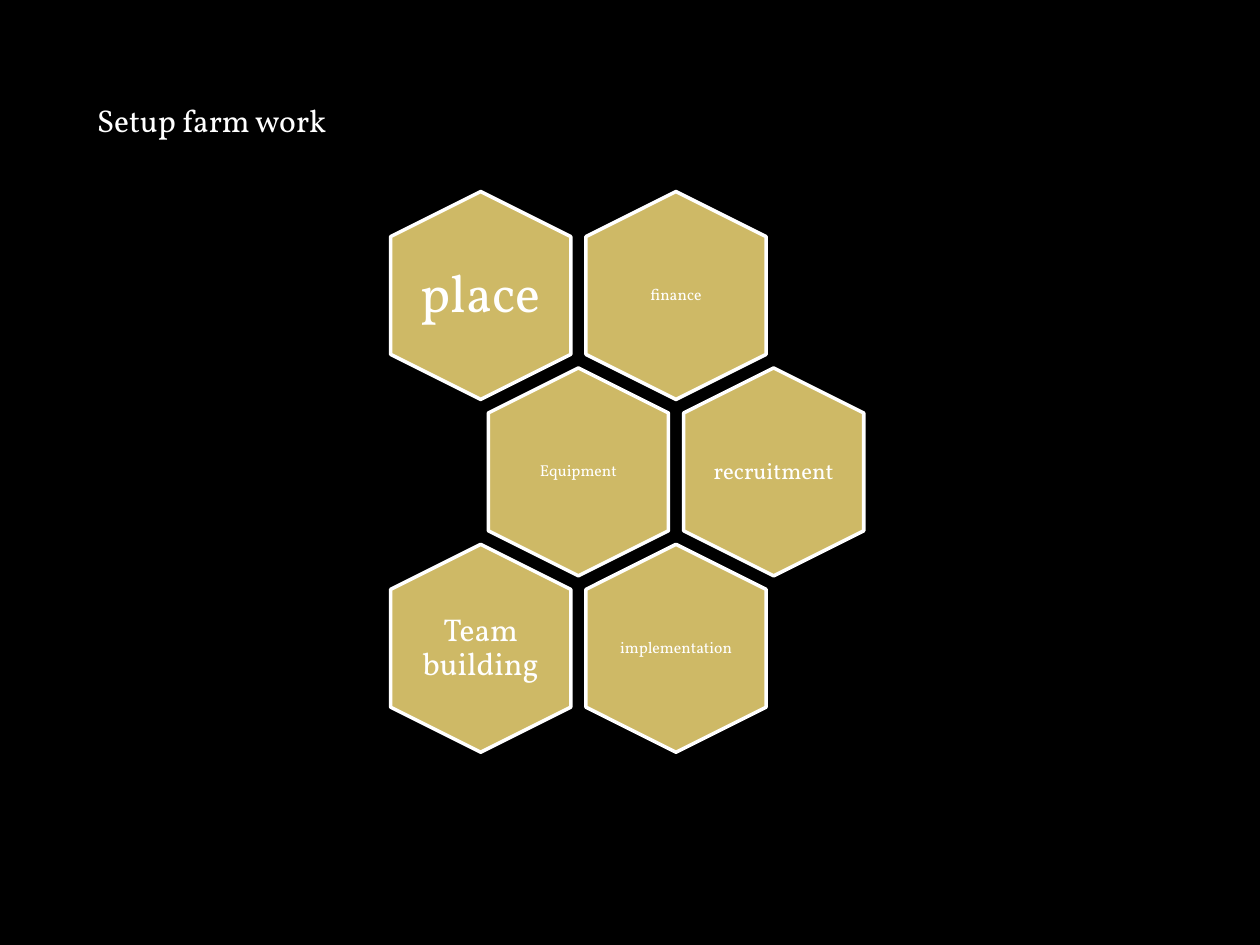
from pptx import Presentation
from pptx.dml.color import RGBColor
from pptx.enum.shapes import MSO_SHAPE
from pptx.enum.text import MSO_ANCHOR, PP_ALIGN
from pptx.util import Inches, Pt

HEXAGON = MSO_SHAPE.HEXAGON
MIDDLE = MSO_ANCHOR.MIDDLE
CENTER = PP_ALIGN.CENTER

FONT = "Vollkorn"
BLACK, WHITE, GOLD = "000000", "FFFFFF", "CEB966"

HEX_WIDTH, HEX_HEIGHT = 1.65, 1.43
LABEL_WIDTH, LABEL_HEIGHT = 0.99, 1.13
GRID_LEFT, GRID_TOP = 2.99, 1.63
COLUMN_STEP, ROW_STEP = 1.55, 1.4

# Each row holds (label, font size, inset) from left to right.
HONEYCOMB = [
    [("place", 30, 0), ("finance", 9, 0.04)],
    [("Equipment", 9, 0.04), ("recruitment", 13, 0)],
    [("Team building", 18, 0), ("implementation", 9, 0.04)],
]


def color(value):
    return RGBColor.from_string(value)


def add_text(slide, text, size, left, top, width, height):
    box = slide.shapes.add_textbox(
        Inches(left), Inches(top), Inches(width), Inches(height))
    frame = box.text_frame
    frame.word_wrap = True
    frame.text = text
    font = frame.paragraphs[0].runs[0].font
    font.name = FONT
    font.size = Pt(size)
    font.color.rgb = color(WHITE)
    return frame


def add_hexagon(slide, left, top):
    hexagon = slide.shapes.add_shape(
        HEXAGON, Inches(left), Inches(top), Inches(HEX_WIDTH), Inches(HEX_HEIGHT))
    hexagon.rotation = 90
    hexagon.shadow.inherit = False
    hexagon.fill.solid()
    hexagon.fill.fore_color.rgb = color(GOLD)
    hexagon.line.color.rgb = color(WHITE)
    hexagon.line.width = Pt(2)


def add_cell(slide, label, size, inset, left, top):
    """Add a hexagon with an upright label centred on it."""
    add_hexagon(slide, left, top)
    frame = add_text(slide, label, size,
                     left + (HEX_WIDTH - LABEL_WIDTH) / 2,
                     top + (HEX_HEIGHT - LABEL_HEIGHT) / 2,
                     LABEL_WIDTH, LABEL_HEIGHT)
    frame.margin_left = frame.margin_right = Inches(inset)
    frame.margin_top = frame.margin_bottom = Inches(inset)
    frame.vertical_anchor = MIDDLE
    para = frame.paragraphs[0]
    para.alignment = CENTER
    para.line_spacing = 0.9


def add_honeycomb(slide):
    for row, cells in enumerate(HONEYCOMB):
        shift = row % 2 / 2
        for column, (label, size, inset) in enumerate(cells):
            left = GRID_LEFT + (column + shift) * COLUMN_STEP
            add_cell(slide, label, size, inset, left, GRID_TOP + row * ROW_STEP)


def main():
    deck = Presentation()
    deck.slide_width, deck.slide_height = Inches(10), Inches(7.5)
    slide = deck.slides.add_slide(deck.slide_layouts[6])
    background = slide.background.fill
    background.solid()
    background.fore_color.rgb = color(BLACK)
    add_honeycomb(slide)
    add_text(slide, "Setup farm work", 18, 0.67, 0.75, 2.08, 0.71)
    deck.save("out.pptx")


if __name__ == "__main__":
    main()
